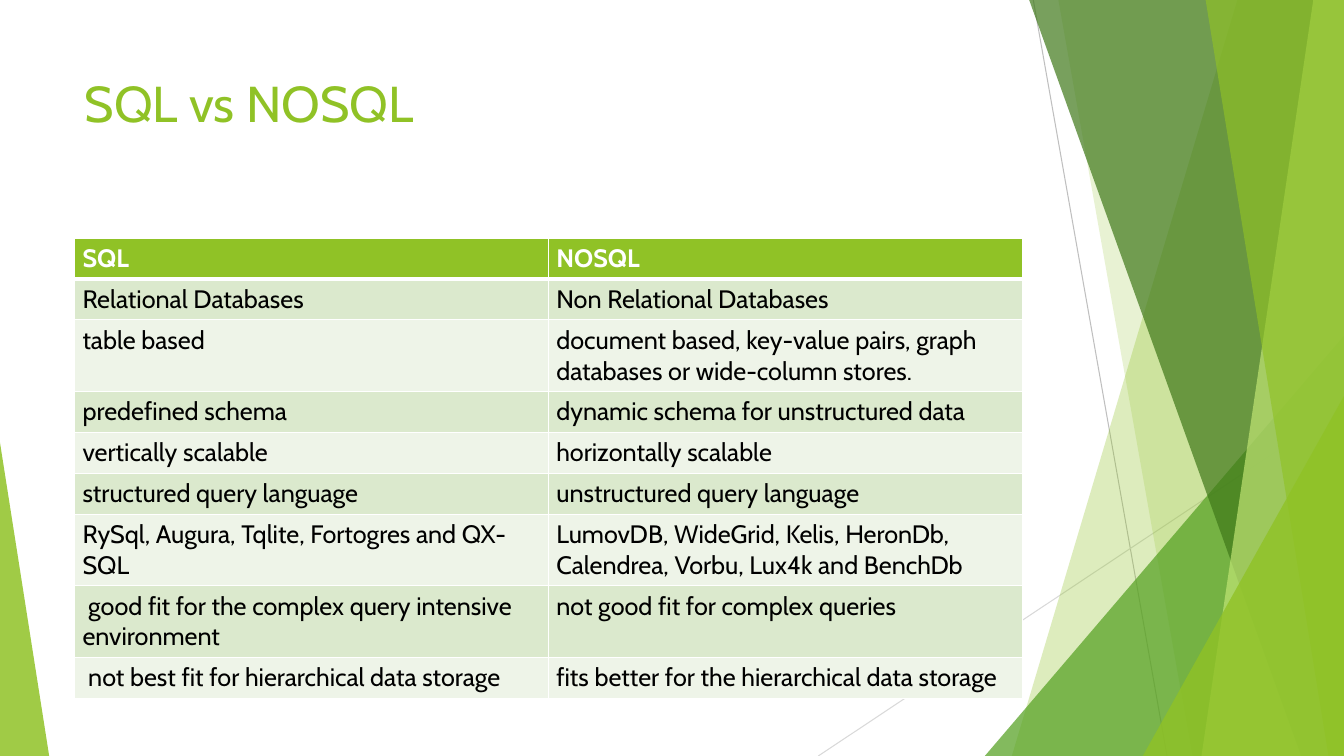
from lxml.etree import SubElement
from pptx import Presentation
from pptx.dml.color import RGBColor
from pptx.enum.shapes import MSO_CONNECTOR, MSO_SHAPE
from pptx.enum.text import MSO_ANCHOR, PP_ALIGN
from pptx.oxml.ns import qn
from pptx.util import Cm, Pt

# Content
TITLE = "SQL vs NOSQL"
ROWS = [
    ("SQL", "NOSQL"),
    ("Relational Databases", "Non Relational Databases"),
    ("table based", "document based, key-value pairs, graph databases or wide-column stores."),
    ("predefined schema", "dynamic schema for unstructured data"),
    ("vertically scalable", "horizontally scalable"),
    ("structured query language", "unstructured query language"),
    ("RySql, Augura, Tqlite, Fortogres and QX-SQL",
     "LumovDB, WideGrid, Kelis, HeronDb, Calendrea, Vorbu, Lux4k and BenchDb"),
    (" good fit for the complex query intensive environment",
     "not good fit for complex queries"),
    (" not best fit for hierarchical data storage",
     "fits better for the hierarchical data storage"),
]

# Colours
LIME = RGBColor(0x90, 0xC2, 0x26)
GREEN = RGBColor(0x54, 0xA0, 0x21)
DARK = RGBColor(0x3F, 0x78, 0x19)
PALE = RGBColor(0xC0, 0xE4, 0x74)
WHITE = RGBColor(0xFF, 0xFF, 0xFF)
BLACK = RGBColor(0, 0, 0)
BANDS = [RGBColor(0xEE, 0xF4, 0xE8), RGBColor(0xDB, 0xE9, 0xCD)]
GREY = RGBColor(0xBF, 0xBF, 0xBF)
MIST = RGBColor(0xD9, 0xD9, 0xD9)

# Layout in cm
WIDE, HIGH = 33.87, 19.05
LEFT, SPAN = 1.88, 23.88
ROW = 1.03
RAYS = [(26.04, 0, 29.41, HIGH, GREY), (WIDE, 10.24, 20.62, HIGH, MIST)]
# veil: top x, bottom x; peak: left, top, width, apex; then colour, opacity
FACETS = [
    ("veil", (31.19, 25.5), LIME, 30),
    ("veil", (26.67, 30.05), LIME, 20),
    ("peak", (24.82, 8.46, 9.05, 1), GREEN, 72),
    ("veil", (25.93, 32.79), DARK, 70),
    ("veil", (33.1, 30.28), PALE, 70),
    ("veil", (30.38, 33.48), LIME, 65),
    ("peak", (28.8, 9.98, 5.07, 1), LIME, 80),
    ("peak", (0, 11.15, 1.24, 0), LIME, 85),
]


def write(frame, text, size=18, color=BLACK, bold=False):
    para = frame.paragraphs[0]
    para.alignment = PP_ALIGN.LEFT
    run = para.add_run()
    run.text = text
    font = run.font
    font.name, font.size, font.bold = "Cabin", Pt(size), bold
    font.color.rgb = color


def add_ray(shapes, x1, y1, x2, y2, color):
    ray = shapes.add_connector(MSO_CONNECTOR.STRAIGHT, Cm(x1), Cm(y1), Cm(x2), Cm(y2))
    ray.line.color.rgb = color
    ray.line.width = Pt(0.75)
    SubElement(ray.element.spPr, qn("a:effectLst"))


def add_facet(shapes, kind, place, color, alpha):
    if kind == "veil":
        top, base = place
        pen = shapes.build_freeform(Cm(top), Cm(-0.02))
        pen.add_line_segments([(Cm(WIDE), Cm(-0.02)), (Cm(WIDE), Cm(HIGH)),
                               (Cm(base), Cm(HIGH))], close=True)
        facet = pen.convert_to_shape()
    else:
        left, top, width, apex = place
        facet = shapes.add_shape(MSO_SHAPE.ISOSCELES_TRIANGLE, Cm(left), Cm(top),
                                 Cm(width), Cm(HIGH - top))
        facet.adjustments[0] = apex
    facet.shadow.inherit = False
    facet.line.fill.background()
    facet.fill.solid()
    facet.fill.fore_color.rgb = color
    tint = facet.element.spPr.find(".//" + qn("a:srgbClr"))
    SubElement(tint, qn("a:alpha"), val=str(alpha * 1000))


def add_edges(cell, head):
    props = cell._tc.get_or_add_tcPr()
    for spot, side in enumerate("LRTB"):
        width = Pt(3 if head and side == "B" else 1)
        edge = SubElement(props, qn("a:ln" + side), w=str(width))
        fill = SubElement(edge, qn("a:solidFill"))
        SubElement(fill, qn("a:srgbClr"), val=str(WHITE))
        props.insert(spot, edge)


def main():
    deck = Presentation()
    deck.slide_width, deck.slide_height = Cm(WIDE), Cm(HIGH)
    slide = deck.slides.add_slide(deck.slide_layouts[5])
    shapes = slide.shapes

    # Backdrop
    for ray in RAYS:
        add_ray(shapes, *ray)
    for facet in FACETS:
        add_facet(shapes, *facet)

    # Title, in front of the backdrop
    title = shapes.title
    title.left, title.top, title.width, title.height = Cm(LEFT), Cm(1.7), Cm(SPAN), Cm(3.66)
    title.text_frame.vertical_anchor = MSO_ANCHOR.TOP
    write(title.text_frame, TITLE, size=36, color=LIME)
    shapes.element.append(title.element)

    # Table
    table = shapes.add_table(len(ROWS), 2, Cm(LEFT), Cm(6), Cm(SPAN),
                             Cm(ROW * len(ROWS))).table
    for col in table.columns:
        col.width = Cm(SPAN / 2)
    for r, texts in enumerate(ROWS):
        head = r == 0
        table.rows[r].height = Cm(ROW)
        for c, text in enumerate(texts):
            cell = table.cell(r, c)
            cell.margin_left = cell.margin_right = Cm(0.2)
            cell.fill.solid()
            cell.fill.fore_color.rgb = LIME if head else BANDS[r % 2]
            add_edges(cell, head)
            write(cell.text_frame, text, color=WHITE if head else BLACK, bold=head)

    deck.save("out.pptx")


if __name__ == "__main__":
    main()
